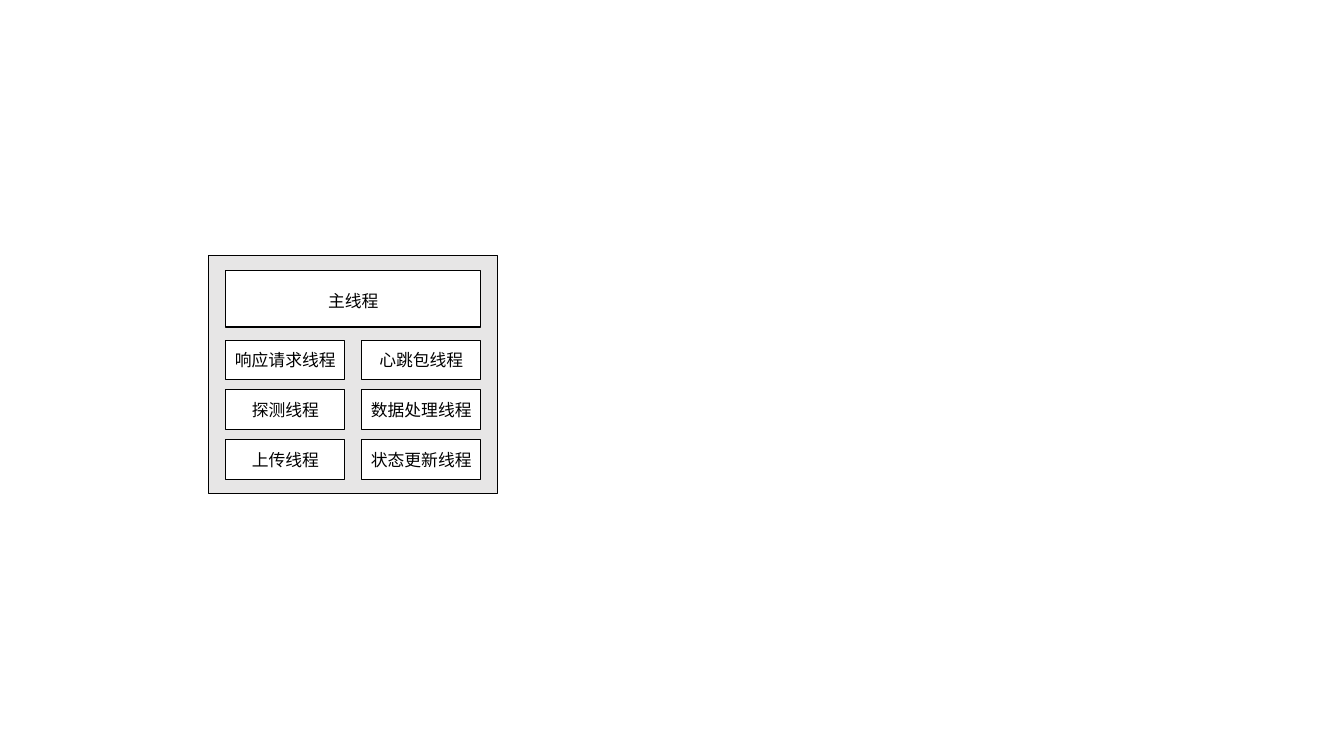
from dataclasses import dataclass

import lxml.etree
import pptx
import pptx.dml.color
import pptx.enum.shapes
import pptx.enum.text
import pptx.oxml.ns
import pptx.shapes.autoshape
import pptx.shapes.shapetree
import pptx.util

FONT = "Noto Sans CJK SC"
BLACK = "000000"
WHITE = "FFFFFF"
GRAY = "E7E6E6"

THREAD_LEFT = 161.3
THREAD_TOP = 242.9
THREAD_WIDTH = 85.1
THREAD_HEIGHT = 28.2
COLUMN_PITCH = 97.1
ROW_PITCH = 35.55

WORKER_THREADS = [
    ["响应请求线程", "探测线程", "上传线程"],
    ["心跳包线程", "数据处理线程", "状态更新线程"],
]


@dataclass
class Block:
    left: float
    top: float
    width: float
    height: float
    fill: str = WHITE
    label: str = ""
    top_inset: float = 0


def rgb(value: str) -> pptx.dml.color.RGBColor:
    return pptx.dml.color.RGBColor.from_string(value)


def write_label(shape: pptx.shapes.autoshape.Shape, block: Block) -> None:
    frame = shape.text_frame
    frame.text = block.label
    frame.word_wrap = True
    frame.vertical_anchor = pptx.enum.text.MSO_ANCHOR.MIDDLE
    frame.margin_left = frame.margin_right = frame.margin_bottom = pptx.util.Pt(0)
    frame.margin_top = pptx.util.Pt(block.top_inset)
    paragraph = frame.paragraphs[0]
    paragraph.alignment = pptx.enum.text.PP_ALIGN.CENTER
    for run in paragraph.runs:
        run.font.size = pptx.util.Pt(12)
        run.font.name = FONT
        run.font.color.rgb = rgb(BLACK)
        east_asian = lxml.etree.SubElement(
            run.font._element, pptx.oxml.ns.qn("a:ea")
        )
        east_asian.set("typeface", FONT)


def draw_block(shapes: pptx.shapes.shapetree.GroupShapes, block: Block) -> None:
    shape = shapes.add_shape(
        pptx.enum.shapes.MSO_SHAPE.ROUNDED_RECTANGLE,
        pptx.util.Pt(block.left),
        pptx.util.Pt(block.top),
        pptx.util.Pt(block.width),
        pptx.util.Pt(block.height),
    )
    shape.adjustments[0] = 0
    shape.shadow.inherit = False
    shape.fill.solid()
    shape.fill.fore_color.rgb = rgb(block.fill)
    shape.line.color.rgb = rgb(BLACK)
    shape.line.width = pptx.util.Pt(0.75)
    if block.label:
        write_label(shape, block)


def main() -> None:
    presentation = pptx.Presentation()
    presentation.slide_width = pptx.util.Pt(960)
    presentation.slide_height = pptx.util.Pt(540)
    slide = presentation.slides.add_slide(presentation.slide_layouts[6])

    process = Block(149.1, 182.3, 206.6, 170.5, GRAY)
    main_thread = Block(
        THREAD_LEFT, 193, COLUMN_PITCH + THREAD_WIDTH, 40.6, WHITE, "主线程", 2.9
    )
    workers = [
        Block(
            THREAD_LEFT + column * COLUMN_PITCH,
            THREAD_TOP + row * ROW_PITCH,
            THREAD_WIDTH,
            THREAD_HEIGHT,
            label=label,
        )
        for column, labels in enumerate(WORKER_THREADS)
        for row, label in enumerate(labels)
    ]

    thread_model = slide.shapes.add_group_shape()
    for block in [process, main_thread, *workers]:
        draw_block(thread_model.shapes, block)

    presentation.save("out.pptx")


if __name__ == "__main__":
    main()
